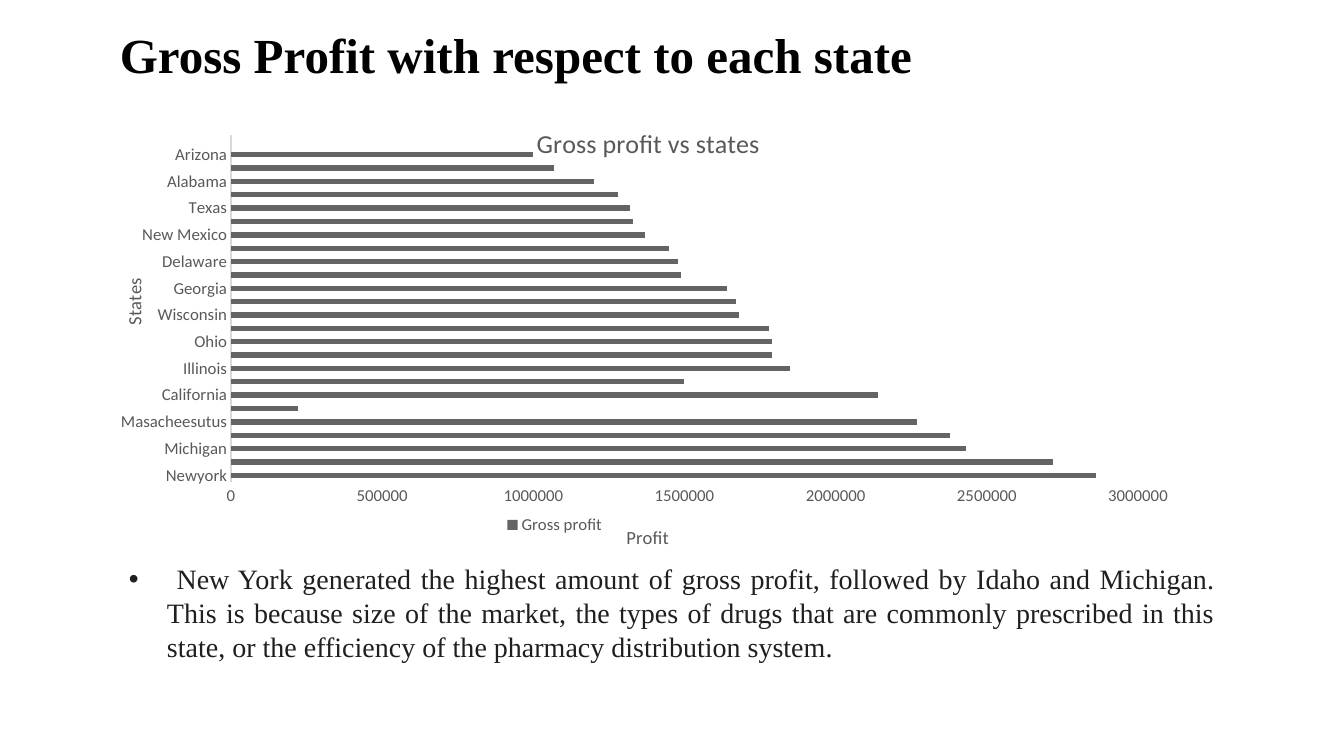
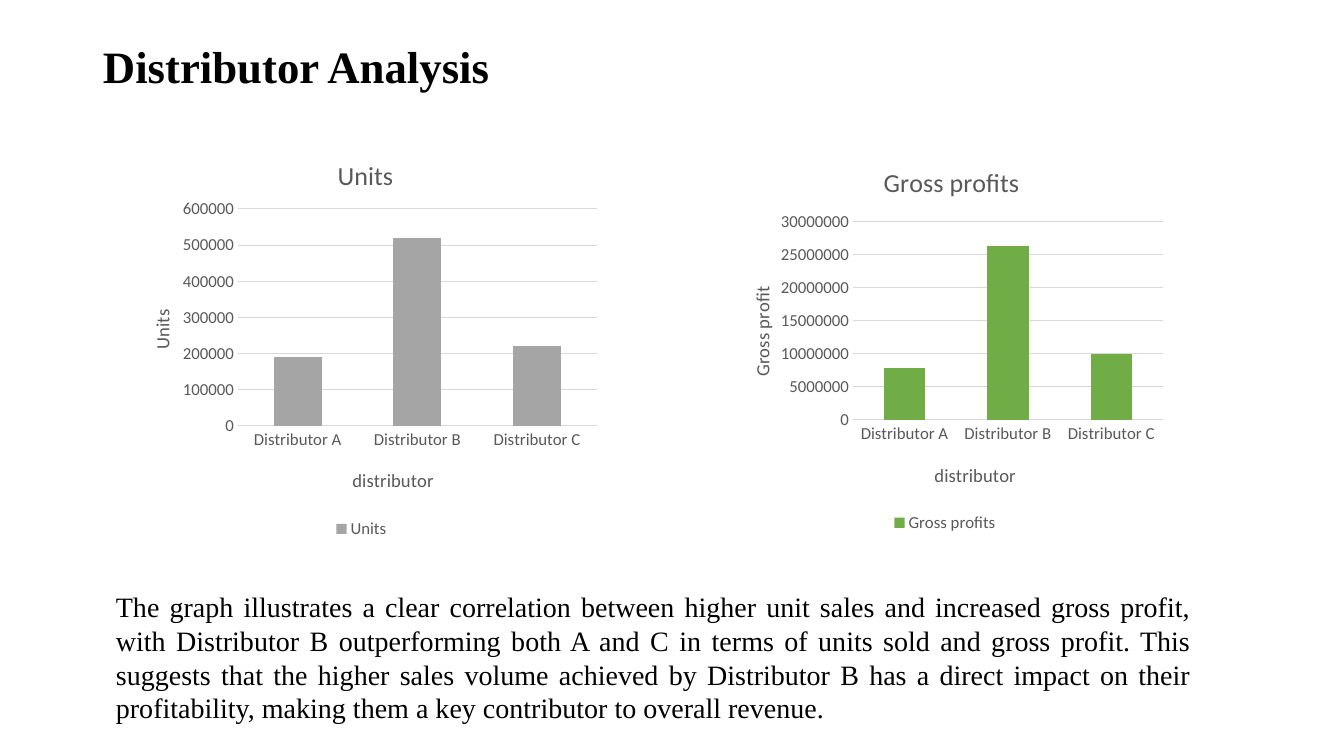
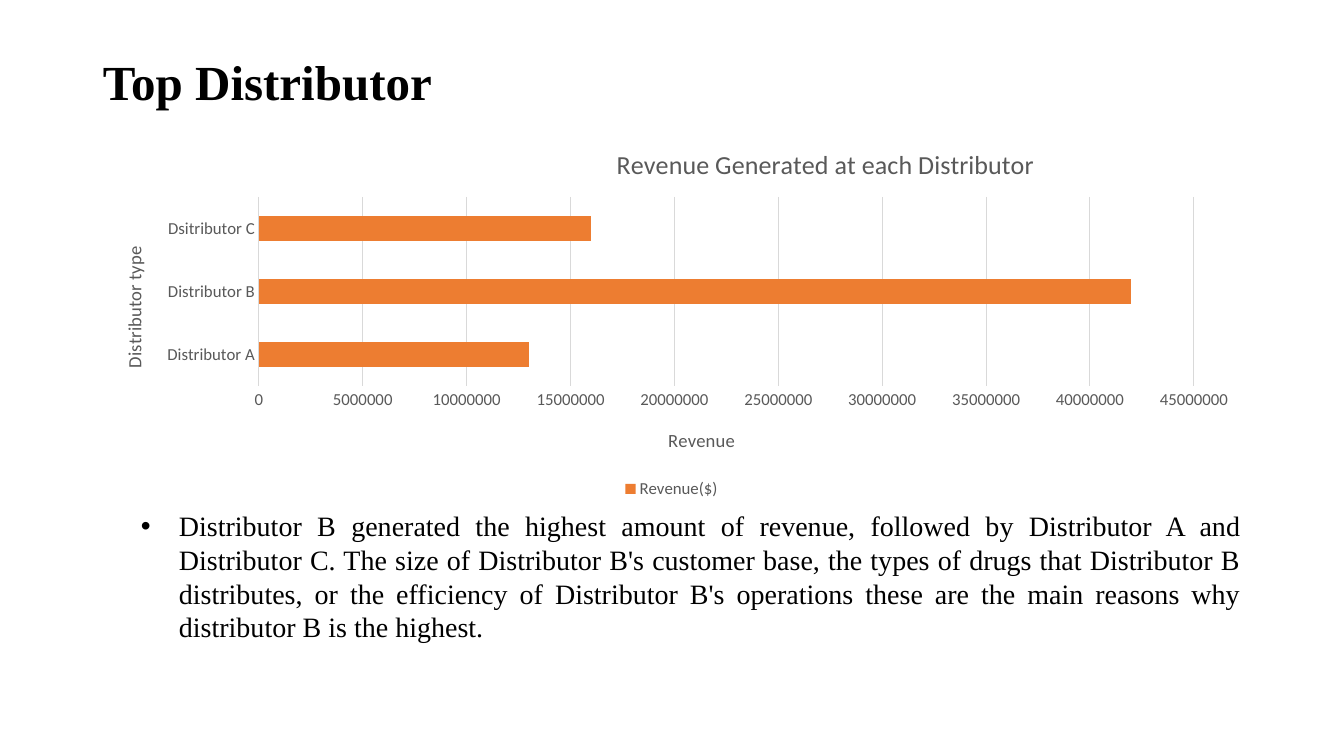
from pptx import Presentation
from pptx.chart.data import CategoryChartData
from pptx.dml.color import RGBColor
from pptx.enum.chart import XL_CHART_TYPE, XL_LEGEND_POSITION, XL_TICK_MARK
from pptx.enum.text import MSO_ANCHOR, PP_ALIGN
from pptx.oxml.ns import qn
from pptx.util import Emu, Pt
from lxml.etree import SubElement

PX = 12192000 / 1344
BLACK = RGBColor(0x00, 0x00, 0x00)
INK = RGBColor(0x1F, 0x1F, 0x1F)
LABEL = RGBColor(0x59, 0x59, 0x59)
RULE = RGBColor(0xD9, 0xD9, 0xD9)
CHARCOAL = RGBColor(0x64, 0x64, 0x64)
GREY = RGBColor(0xA5, 0xA5, 0xA5)
GREEN = RGBColor(0x70, 0xAD, 0x47)
ORANGE = RGBColor(0xED, 0x7D, 0x31)

TEXT_FONT = "Times New Roman"
CHART_FONT = "Calibri"
BAR, COLUMN = XL_CHART_TYPE.BAR_STACKED, XL_CHART_TYPE.COLUMN_STACKED

PROFIT_BY_STATE = {
    "Newyork": 2860000, "Idhao": 2720000, "Michigan": 2430000, "Maryland": 2380000,
    "Masacheesutus": 2270000, "South calorina": 220000, "California": 2140000,
    "North california": 1500000, "Illinois": 1850000, "Utah": 1790000, "Ohio": 1790000,
    "New Jersey": 1780000, "Wisconsin": 1680000, "Florida": 1670000, "Georgia": 1640000,
    "Nebraska": 1490000, "Delaware": 1480000, "Virginia": 1450000, "New Mexico": 1370000,
    "Colorado": 1330000, "Texas": 1320000, "Washington": 1280000, "Alabama": 1200000,
    "connecticut": 1070000, "Arizona": 1000000, "": None,
}
UNITS = {"Distributor A": 190000, "Distributor B": 520000, "Distributor C": 220000}
PROFITS = {"Distributor A": 7800000, "Distributor B": 26400000, "Distributor C": 10000000}
REVENUE = {"Distributor A": 13000000, "Distributor B": 42000000, "Dsitributor C": 16000000}


def px(length):
    return Emu(round(length * PX))


def place(part, frame, box, index=1):
    """Fix a chart part at a slide position in px, as fractions of the chart frame."""
    layout = part.find(qn("c:layout"))
    if layout is None:
        layout = part.makeelement(qn("c:layout"), {})
        part.insert(index, layout)
    manual = SubElement(layout, qn("c:manualLayout"))
    left, top, width, height = frame
    settings = [("xMode", "edge"), ("yMode", "edge"),
                ("x", (box[0] - left) / width), ("y", (box[1] - top) / height)]
    if len(box) == 4:
        settings.insert(0, ("layoutTarget", "inner"))
        settings += [("w", box[2] / width), ("h", box[3] / height)]
    for tag, value in settings:
        text = value if isinstance(value, str) else f"{value:.4f}"
        SubElement(manual, qn(f"c:{tag}")).set("val", text)


class Deck:
    def __init__(self):
        self.prs = Presentation()
        self.prs.slide_width, self.prs.slide_height = px(1344), px(756)
        self.slide = None

    def new_slide(self):
        self.slide = self.prs.slides.add_slide(self.prs.slide_layouts[6])

    def text(self, box, words, size, color=BLACK, bullet=False):
        frame = self.slide.shapes.add_textbox(*map(px, box)).text_frame
        frame.word_wrap = True
        paragraph = frame.paragraphs[0]
        paragraph.text = words
        if bullet:
            props = paragraph._p.get_or_add_pPr()
            props.set("marL", str(px(38)))
            props.set("indent", str(px(-38)))
            SubElement(props, qn("a:buFont")).set("typeface", "Arial")
            SubElement(props, qn("a:buChar")).set("char", "•")
        font = paragraph.font
        font.name, font.size, font.color.rgb = TEXT_FONT, Pt(size), color
        return frame

    def title(self, box, words, size=35, spacing=0.9):
        frame = self.text(box, words, size)
        frame.vertical_anchor = MSO_ANCHOR.MIDDLE
        frame.paragraphs[0].font.bold = True
        frame.paragraphs[0].line_spacing = spacing

    def body(self, box, words, color=BLACK, bullet=False):
        frame = self.text(box, words, 20, color, bullet)
        frame.paragraphs[0].alignment = PP_ALIGN.JUSTIFY

    def caption(self, owner, words, size, frame, at, upright=False):
        """Write and place the title of a chart or of an axis."""
        text_frame = owner.text_frame
        text_frame.text = words
        font = text_frame.paragraphs[0].font
        font.name, font.size, font.bold = CHART_FONT, Pt(size), False
        font.color.rgb = LABEL
        if upright:
            body = text_frame._txBody.find(qn("a:bodyPr"))
            body.set("rot", "-5400000")
            body.set("vert", "horz")
        place(owner._element, frame, at)

    def chart(self, kind, frame, plot, data, series, color, maximum, step,
              title, category, value, legend_at, grid=True, axis_line=True):
        """Draw a chart; title, category and value each hold (words, position)."""
        chart_data = CategoryChartData()
        chart_data.categories = list(data)
        chart_data.add_series(series, list(data.values()))
        chart = self.slide.shapes.add_chart(kind, *map(px, frame), chart_data).chart
        chart.font.name, chart.font.size = CHART_FONT, Pt(12)
        chart.font.color.rgb = LABEL

        bars = chart.plots[0]
        bars.gap_width, bars.overlap, bars.vary_by_categories = 150, 100, False
        fill = bars.series[0].format.fill
        fill.solid()
        fill.fore_color.rgb = color
        place(chart._chartSpace.chart.plotArea, frame, plot, 0)

        chart.has_title = True
        self.caption(chart.chart_title, title[0], 18.6, frame, title[1])
        chart.has_legend = True
        chart.legend.position = XL_LEGEND_POSITION.BOTTOM
        chart.legend.include_in_layout = False
        place(chart.legend._element, frame, legend_at)

        categories, values = chart.category_axis, chart.value_axis
        for axis, (words, at), upright in ((categories, category, kind == BAR),
                                           (values, value, kind == COLUMN)):
            axis.major_tick_mark = axis.minor_tick_mark = XL_TICK_MARK.NONE
            axis.format.line.fill.background()
            axis.has_title = True
            self.caption(axis.axis_title, words, 13.3, frame, at, upright)
        if axis_line:
            categories.format.line.color.rgb = RULE
            categories.format.line.width = Pt(0.75)
        values.minimum_scale, values.maximum_scale, values.major_unit = 0, maximum, step
        values.has_major_gridlines = grid
        if grid:
            line = values.major_gridlines.format.line
            line.color.rgb, line.width = RULE, Pt(0.75)


def main():
    deck = Deck()

    deck.new_slide()
    deck.chart(BAR, (110, 98, 1069, 457), (231, 135, 907, 349), PROFIT_BY_STATE,
               "Gross profit", CHARCOAL, 3000000, 500000,
               ("Gross profit vs states", (532, 121)), ("States", (118, 276)),
               ("Profit", (623, 523)), (502, 513), grid=False)
    deck.title((110, 18, 1125, 80), "Gross Profit with respect to each state")
    deck.body((119, 557, 1106, 112),
              " New York generated the highest amount of gross profit, followed by Idaho and "
              "Michigan. This is because size of the market, the types of drugs that are commonly "
              "prescribed in this state, or the efficiency of the pharmacy distribution system.",
              INK, bullet=True)

    deck.new_slide()
    deck.chart(COLUMN, (121, 129, 486, 415), (238, 209, 359, 217), UNITS,
               "Units", GREY, 600000, 100000,
               ("Units", (333, 152)), ("distributor", (349, 464)),
               ("Units", (146, 306)), (331, 518))
    deck.chart(COLUMN, (720, 143, 453, 395), (853, 222, 310, 198), PROFITS,
               "Gross profits", GREEN, 30000000, 5000000,
               ("Gross profits", (879, 160)), ("distributor", (931, 459)),
               ("Gross profit", (746, 283)), (889, 512))
    deck.title((93, 33, 1192, 65), "Distributor Analysis", size=32, spacing=1.0)
    deck.body((106, 585, 1095, 146),
              "The graph illustrates a clear correlation between higher unit sales and increased "
              "gross profit, with Distributor B outperforming both A and C in terms of units sold "
              "and gross profit. This suggests that the higher sales volume achieved by "
              "Distributor B has a direct impact on their profitability, making them a key "
              "contributor to overall revenue.")

    deck.new_slide()
    deck.chart(BAR, (93, 128, 1159, 376), (259, 197, 935, 189), REVENUE,
               "Revenue($)", ORANGE, 45000000, 5000000,
               ("Revenue Generated at each Distributor", (612, 142)),
               ("Distributor type", (118, 243)), ("Revenue", (665, 424)), (620, 477),
               axis_line=False)
    deck.title((93, 40, 1159, 89), "Top Distributor")
    deck.body((131, 504, 1120, 146),
              "Distributor B generated the highest amount of revenue, followed by Distributor A "
              "and Distributor C. The size of Distributor B's customer base, the types of drugs "
              "that Distributor B distributes, or the efficiency of Distributor B's operations "
              "these are the main reasons why distributor B is the highest.", bullet=True)

    deck.prs.save("out.pptx")


if __name__ == "__main__":
    main()
